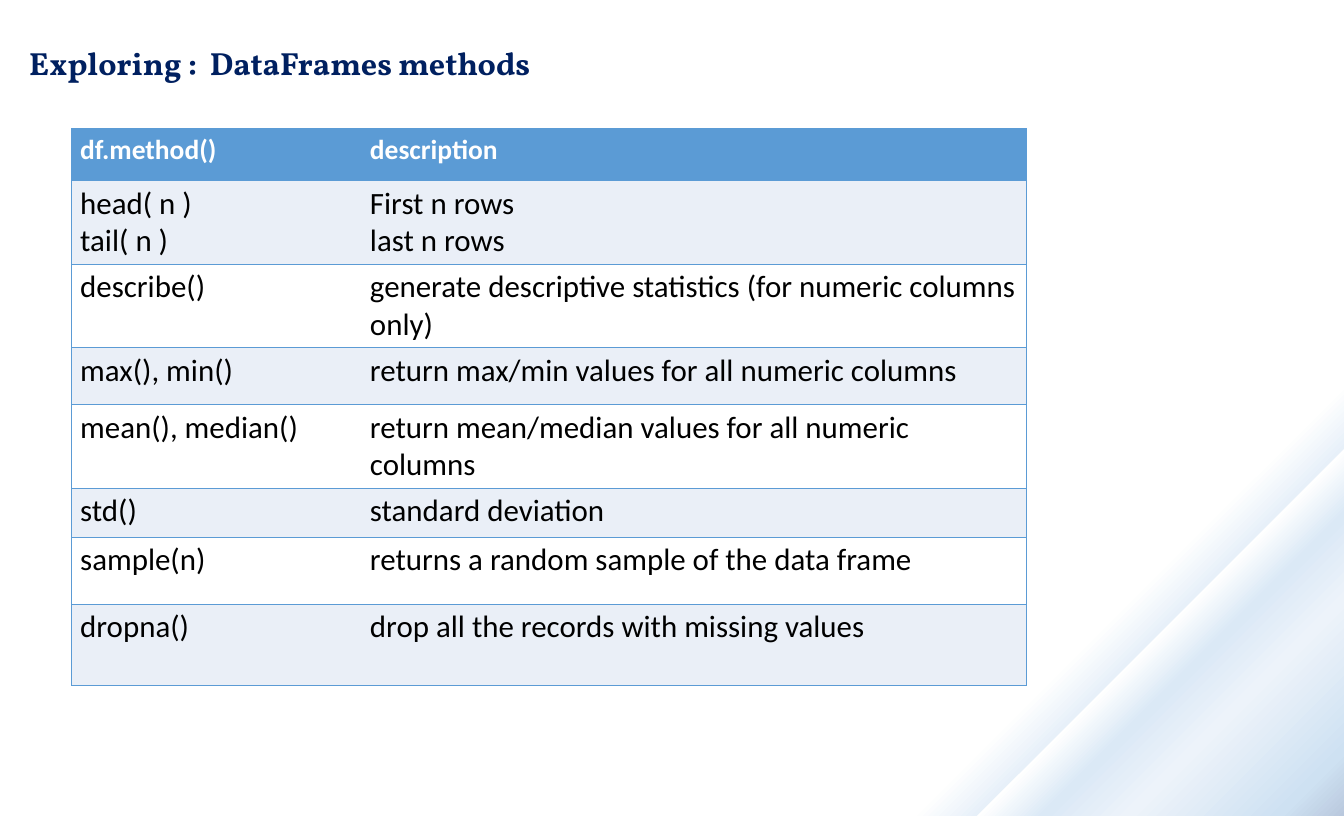
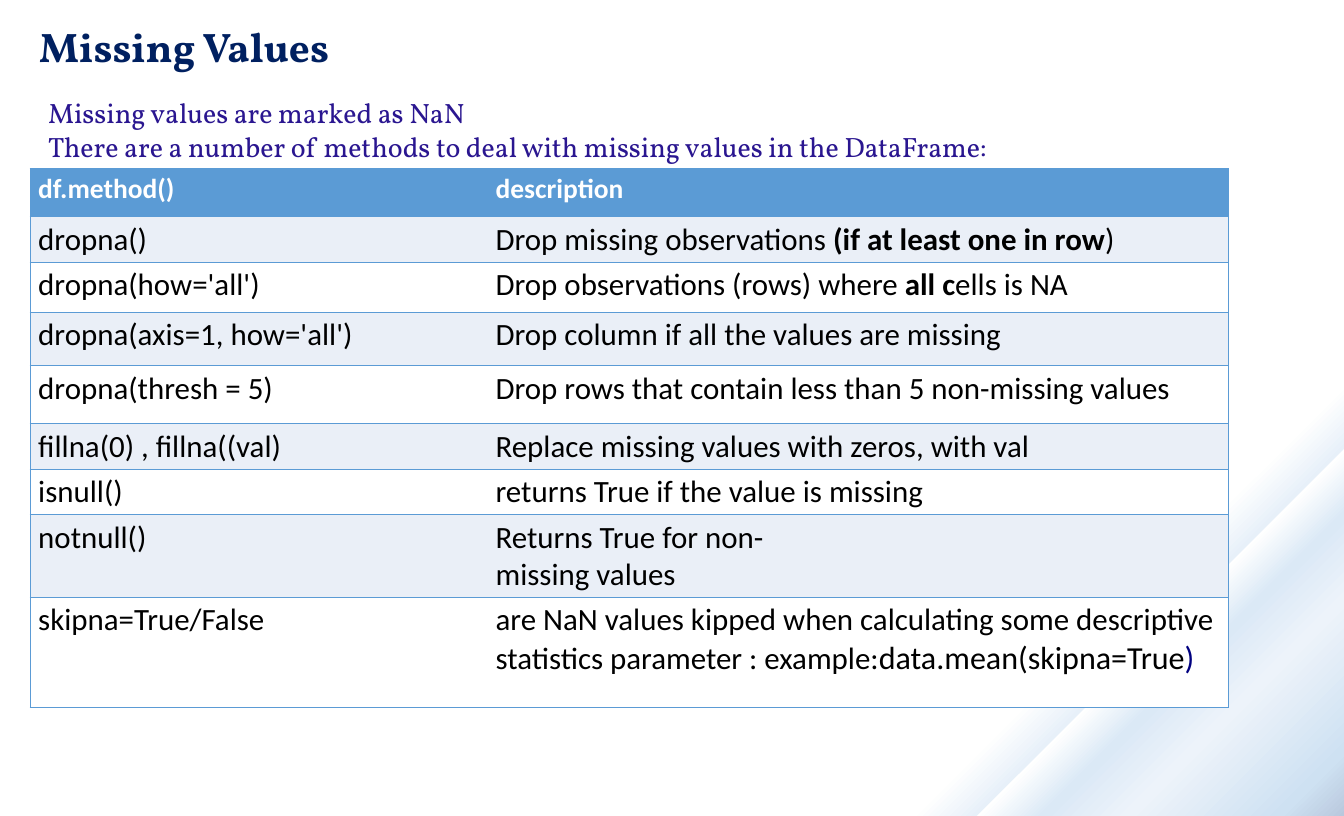
"""Build two slides on DataFrame methods and missing values."""
from dataclasses import dataclass

from lxml import etree
from pptx import Presentation, util as u
from pptx.dml.color import RGBColor
from pptx.enum import text
from pptx.oxml import parse_xml
from pptx.oxml.ns import nsdecls, qn

SCALE = 914400 / 82.5
WIDTH, HEIGHT = 1345, 817
HEAD_FONT, CELL_FONT = "Vollkorn", "Calibri"
NAVY, VIOLET, BLUE, ROW_TINT = "002060", "2A1690", "5B9BD5", "EAEFF7"
WHITE, BLACK, DARK_BLUE = "FFFFFF", "000000", "000080"
NO_STYLE = "{2D5ABB26-0587-4C30-8999-92F81FD0307C}"
BACKDROP = [(80, WHITE, 100), (83, "E7F0F9", 100), (83, WHITE, 100),
            (86, "DBE9F6", 100), (90, "EDF3FA", 100), (97, "CEE1F2", 100),
            (100, "B9C8DD", 100), (100, "DEEBF7", 0)]


@dataclass(frozen=True)
class Run:
    """A stretch of text in one format."""
    words: str
    size: float = 27
    color: str = BLACK
    bold: bool = False
    font: str = CELL_FONT


@dataclass(frozen=True)
class Box:
    """A rectangle in px."""
    x: int
    y: int
    w: int
    h: int

    def emu(self) -> tuple:
        """Return the rectangle in EMU."""
        return tuple(px(n) for n in (self.x, self.y, self.w, self.h))


@dataclass(frozen=True)
class Row:
    """A table row: height, method lines, description lines and merged columns."""
    height: int
    method: list
    description: list
    merges: tuple = ()


def px(n: int) -> u.Emu:
    """Turn px into EMU."""
    return u.Emu(round(n * SCALE))


def rgb(value: str) -> RGBColor:
    """Turn a hex string into a colour."""
    return RGBColor.from_string(value)


def write(tf, lines: list) -> None:
    """Write each line, a list of runs, as a paragraph."""
    for i, runs in enumerate(lines):
        p = tf.paragraphs[0] if i == 0 else tf.add_paragraph()
        for run in runs:
            r = p.add_run()
            r.text = run.words
            r.font.size = u.Pt(run.size)
            r.font.name = run.font
            r.font.bold = run.bold
            r.font.color.rgb = rgb(run.color)


def set_backdrop(master) -> None:
    """Give the master its corner gradient."""
    stops = "".join(
        f'<a:gs pos="{pos * 1000}"><a:srgbClr val="{color}">'
        f'<a:alpha val="{alpha * 1000}"/></a:srgbClr></a:gs>'
        for pos, color, alpha in BACKDROP)
    bg = parse_xml(
        f'<p:bg {nsdecls("p", "a")}><p:bgPr><a:gradFill rotWithShape="1">'
        f'<a:gsLst>{stops}</a:gsLst><a:path path="circle">'
        '<a:fillToRect r="100000" b="100000"/></a:path></a:gradFill>'
        '<a:effectLst/></p:bgPr></p:bg>')
    c_sld = master.element.find(qn("p:cSld"))
    old = c_sld.find(qn("p:bg"))
    if old is not None:
        c_sld.remove(old)
    c_sld.insert(0, bg)


def add_slide(prs, title: str, size: int, box: Box):
    """Add a slide with a formatted title."""
    s = prs.slides.add_slide(prs.slide_layouts[5])
    sp = s.shapes.title
    sp.left, sp.top, sp.width, sp.height = box.emu()
    tf = sp.text_frame
    tf.auto_size = text.MSO_AUTO_SIZE.NONE
    tf.vertical_anchor = text.MSO_ANCHOR.MIDDLE
    write(tf, [[Run(title, size, NAVY, True, HEAD_FONT)]])
    p = tf.paragraphs[0]
    p.alignment = text.PP_ALIGN.LEFT
    p.line_spacing = 0.9
    return s


def add_note(s, box: Box, lines: list) -> None:
    """Add a text box of plain lines."""
    tf = s.shapes.add_textbox(*box.emu()).text_frame
    tf.word_wrap = True
    write(tf, [[Run(line, 24.4, VIOLET, False, HEAD_FONT)] for line in lines])


def set_borders(cell, sides: str) -> None:
    """Draw 1 pt lines on the named sides of a cell."""
    pr = cell._tc.get_or_add_tcPr()
    for i, side in enumerate(side for side in "LRTB" if side in sides):
        ln = etree.Element(qn(f"a:ln{side}"), w=str(u.Pt(1)))
        fill = etree.SubElement(ln, qn("a:solidFill"))
        etree.SubElement(fill, qn("a:srgbClr"), val=BLUE)
        pr.insert(i, ln)


def add_method_table(s, x: int, y: int, cols: list, text_col: int, rows: list) -> None:
    """Add a banded table of methods and descriptions."""
    box = Box(x, y, sum(cols), sum(row.height for row in rows))
    table = s.shapes.add_table(len(rows), len(cols), *box.emu()).table
    table._tbl.tblPr.find(qn("a:tableStyleId")).text = NO_STYLE
    for col, width in zip(table.columns, cols):
        col.width = px(width)
    last = len(cols) - 1
    for i, row in enumerate(rows):
        table.rows[i].height = px(row.height)
        for j in range(len(cols)):
            cell = table.cell(i, j)
            cell.fill.solid()
            cell.fill.fore_color.rgb = rgb(BLUE if i == 0 else ROW_TINT if i % 2 else WHITE)
            ends = [start + 1 for start in row.merges] + [last]
            set_borders(cell, "TB" + "L" * (j == 0)
                        + "R" * (j == last or (j in row.merges and j + 1 == last and j + 1 in ends)))
        for start in row.merges:
            table.cell(i, start).merge(table.cell(i, start + 1))
        write(table.cell(i, 0).text_frame, row.method)
        write(table.cell(i, text_col).text_frame, row.description)


def header(height: int, merges: tuple = ()) -> Row:
    """Return the heading row."""
    method, description = ([[Run(words, 24, WHITE, True)]]
                           for words in ("df.method()", "description"))
    return Row(height, method, description, merges)


def plain(height: int, method: str, description: str, merges: tuple = ()) -> Row:
    """Return a row of plain text, one paragraph a line."""
    return Row(height, *([[Run(line)] for line in words.split("\n")]
                         for words in (method, description)), merges)


def build_exploring(prs) -> None:
    """Build the slide on exploring methods."""
    s = add_slide(prs, "Exploring :  DataFrames methods", 28, Box(21, 21, 1160, 89))
    add_method_table(s, 72, 129, [290, 665], 1, [
        header(52),
        plain(82, "head( n )\ntail( n )", "First n rows\nlast n rows"),
        plain(82, "describe()", "generate descriptive statistics (for numeric columns only)"),
        plain(57, "max(), min()", "return max/min values for all numeric columns"),
        plain(82, "mean(), median()", "return mean/median values for all numeric columns"),
        plain(49, "std()", "standard deviation"),
        plain(67, "sample(n)", "returns a random sample of the data frame"),
        plain(82, "dropna()", "drop all the records with missing values"),
    ])


def build_missing(prs) -> None:
    """Build the slide on missing values."""
    s = add_slide(prs, "Missing Values", 36, Box(31, 22, 1160, 54))
    add_note(s, Box(40, 92, 1111, 76), [
        "Missing values are marked as NaN",
        "There are a number of methods to deal with missing values in the DataFrame:",
    ])
    pairs = (0, 2)
    add_method_table(s, 30, 169, [438, 19, 371, 371], 2, [
        header(48, pairs),
        Row(45, [[Run("dropna()")]],
            [[Run("Drop missing observations "),
              Run("(if at least one in row", bold=True), Run(")")]], pairs),
        Row(50, [[Run("dropna(how='all')")]],
            [[Run("Drop observations (rows) where "),
              Run("all c", bold=True), Run("ells is NA")]], pairs),
        plain(54, "dropna(axis=1, how='all')",
              "Drop column if all the values are missing", pairs),
        plain(58, "dropna(thresh = 5)",
              "Drop rows that contain less than 5 non-missing values", pairs),
        plain(45, "fillna(0) , fillna((val)",
              "Replace missing values with zeros, with val", pairs),
        plain(45, "isnull()", "returns True if the value is missing", pairs),
        plain(82, "notnull()", "Returns True for non-missing values"),
        Row(111, [[Run("skipna=True/False")]],
            [[Run("are NaN values kipped when calculating some descriptive "
                  "statistics parameter : example:"),
              Run("data.mean(skipna=True", 28), Run(")", 28, DARK_BLUE)]], (2,)),
    ])


def main() -> None:
    """Build and save the presentation."""
    prs = Presentation()
    prs.slide_width, prs.slide_height = px(WIDTH), px(HEIGHT)
    set_backdrop(prs.slide_master)
    build_exploring(prs)
    build_missing(prs)
    prs.save("out.pptx")


if __name__ == "__main__":
    main()
